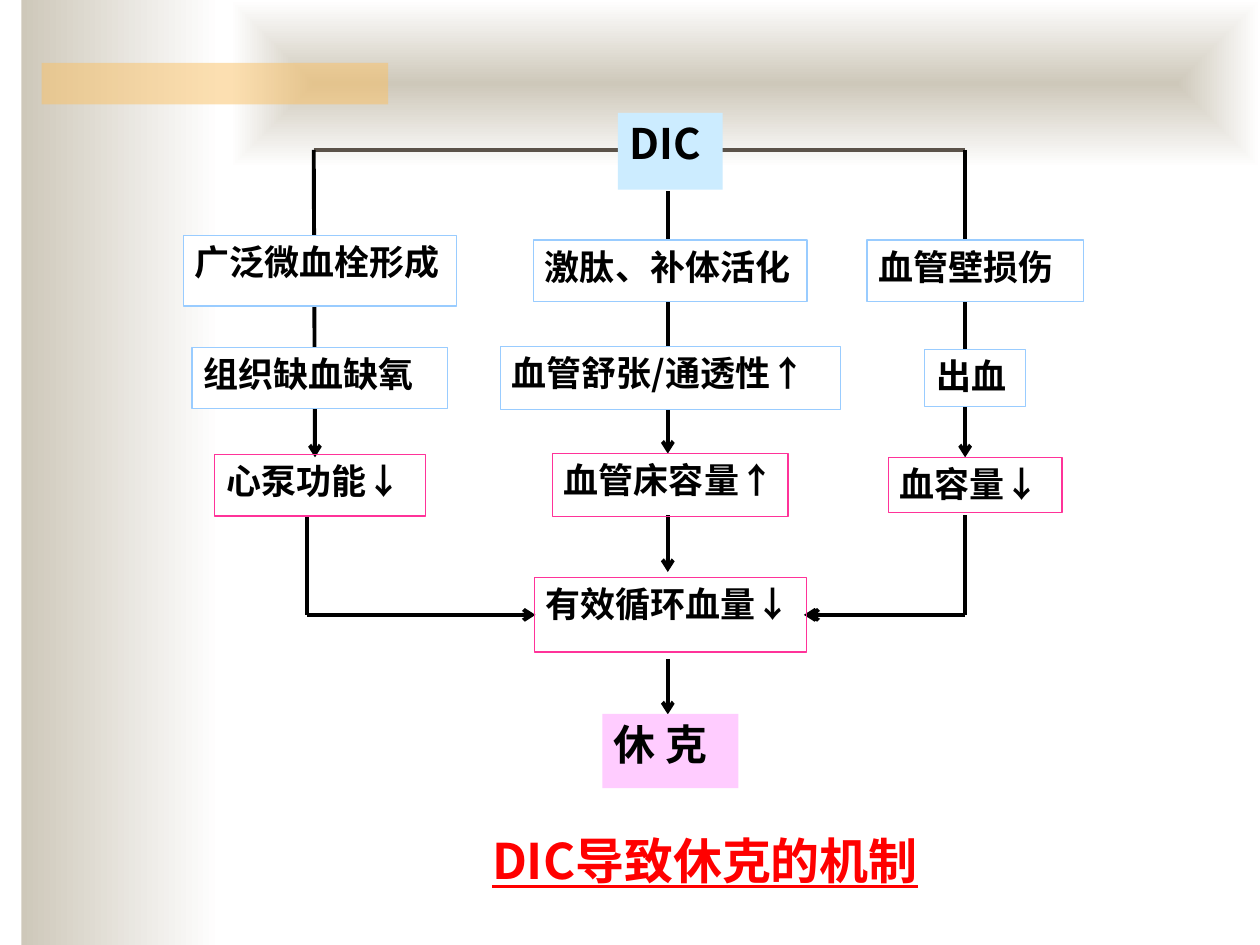
"""Builds a one-slide flow chart of how DIC leads to shock."""
from lxml import etree
from pptx import Presentation
from pptx import util as u
from pptx.dml.color import RGBColor
from pptx.enum import shapes, text
from pptx.oxml.ns import qn

SAND = RGBColor(0xCE, 0xC8, 0xBA)
AMBER = RGBColor(0xFA, 0xC1, 0x64)
WHITE = RGBColor(0xFF, 0xFF, 0xFF)
BLACK = RGBColor(0, 0, 0)
RED = RGBColor(0xFF, 0, 0)
BROWN = RGBColor(0x5B, 0x52, 0x49)
PINK_EDGE = RGBColor(0xFF, 0x33, 0x99)
BLUE_EDGE = RGBColor(0x99, 0xCC, 0xFF)
PALE_BLUE = RGBColor(0xCC, 0xEC, 0xFF)
PALE_PINK = RGBColor(0xFF, 0xCC, 0xFF)
FONT = "Noto Sans CJK SC"

WIDTH, HEIGHT = 10, 7.5
TITLE = "DIC导致休克的机制"

COLUMNS = [2.54, 5.32, 7.74]
ROWS = [1.2] + [2.15 + 0.85 * step for step in range(3)] + [4.88, 5.96]
LEFT, MIDDLE, RIGHT = 2.49, 5.3, 7.66
START, MERGE = 1.19, 4.88
LOWER_LEFT = 2.44

STYLES = {
    "cause": (PALE_BLUE, None, 24),
    "step": (WHITE, BLUE_EDGE, 20),
    "effect": (None, PINK_EDGE, 20),
    "outcome": (PALE_PINK, None, 24),
}
NODES = [
    ("DIC", 1, 0, 0.83, 0.61, "cause"),
    ("广泛微血栓形成", 0, 1, 2.17, 0.56, "step"),
    ("激肽、补体活化", 1, 1, 2.17, 0.49, "step"),
    ("血管壁损伤", 2, 1, 1.72, 0.49, "step"),
    ("组织缺血缺氧", 0, 2, 2.03, 0.49, "step"),
    ("血管舒张/通透性↑", 1, 2, 2.7, 0.5, "step"),
    ("出血", 2, 2, 0.8, 0.45, "step"),
    ("心泵功能↓", 0, 3, 1.67, 0.49, "effect"),
    ("血管床容量↑", 1, 3, 1.87, 0.5, "effect"),
    ("血容量↓", 2, 3, 1.38, 0.44, "effect"),
    ("有效循环血量↓", 1, 4, 2.16, 0.59, "effect"),
    ("休 克", 1, 5, 1.08, 0.59, "outcome"),
]
LINKS = [
    (LEFT, START, RIGHT, START, BROWN, None),
    (LEFT, START, 2.5, 3.63, BLACK, "tailEnd"),
    (MIDDLE, 1.52, MIDDLE, 3.6, BLACK, "tailEnd"),
    (RIGHT, START, RIGHT, 3.63, BLACK, "tailEnd"),
    (LOWER_LEFT, 4.09, LOWER_LEFT, MERGE, BLACK, None),
    (LOWER_LEFT, MERGE, 4.25, MERGE, BLACK, "tailEnd"),
    (MIDDLE, 4.09, MIDDLE, 4.54, BLACK, "tailEnd"),
    (RIGHT, 4.09, RIGHT, MERGE, BLACK, None),
    (6.38, MERGE, 7.64, MERGE, BLACK, "headEnd"),
    (6.4, MERGE, RIGHT, MERGE, BLACK, "headEnd"),
    (MIDDLE, 5.23, MIDDLE, 5.67, BLACK, "tailEnd"),
]


def add_rectangle(slide, left, top, width, height, fill=None, edge=None):
    rectangle = slide.shapes.add_shape(
        shapes.MSO_SHAPE.RECTANGLE, *map(u.Inches, (left, top, width, height)))
    rectangle.shadow.inherit = False
    if fill is None:
        rectangle.fill.background()
    else:
        rectangle.fill.solid()
        rectangle.fill.fore_color.rgb = fill
    if edge is None:
        rectangle.line.fill.background()
    else:
        rectangle.line.color.rgb = edge
        rectangle.line.width = u.Pt(0.75)
    return rectangle


def fade_to_white(panel, from_centre=False):
    panel.fill.gradient()
    panel.fill.gradient_angle = 0
    for stop, color, position in zip(panel.fill.gradient_stops, (SAND, WHITE), (0, 1)):
        stop.color.rgb = color
        stop.position = position
    if from_centre:
        gradient = panel.fill._xPr.find(qn("a:gradFill"))
        linear = gradient.find(qn("a:lin"))
        focus = etree.Element(qn("a:path"), {"path": "rect"})
        etree.SubElement(focus, qn("a:fillToRect"), dict.fromkeys("ltrb", "50000"))
        gradient.replace(linear, focus)


def write(shape, wording, size, color, align, underline=None):
    frame = shape.text_frame
    frame.word_wrap = True
    frame.vertical_anchor = text.MSO_ANCHOR.TOP
    frame.margin_left = frame.margin_right = u.Inches(0.09)
    frame.margin_top = frame.margin_bottom = u.Inches(0.04)
    frame.text = wording
    paragraph = frame.paragraphs[0]
    paragraph.alignment = align
    run = paragraph.runs[0]
    run.font.size = u.Pt(size)
    run.font.bold = True
    run.font.underline = underline
    run.font.color.rgb = color
    run.font.name = FONT
    etree.SubElement(run.font._element, qn("a:ea"), {"typeface": FONT})


def add_backdrop(slide):
    fade_to_white(add_rectangle(slide, 0.17, 0, 1.58, HEIGHT))
    fade_to_white(add_rectangle(slide, 1.83, 0, WIDTH - 1.83, 1.33), from_centre=True)
    accent = add_rectangle(slide, 0.33, 0.5, 2.75, 0.33, AMBER)
    color = accent.fill._xPr.find(qn("a:solidFill"))[0]
    etree.SubElement(color, qn("a:alpha"), {"val": "50000"})


def add_link(slide, x1, y1, x2, y2, color, arrow):
    link = slide.shapes.add_connector(
        shapes.MSO_CONNECTOR.STRAIGHT, *map(u.Inches, (x1, y1, x2, y2)))
    link.line.color.rgb = color
    link.line.width = u.Pt(2.25)
    if arrow:
        etree.SubElement(link.line._get_or_add_ln(), qn("a:" + arrow), {"type": "arrow"})
    etree.SubElement(link._element.spPr, qn("a:effectLst"))


def add_node(slide, wording, column, row, width, height, style):
    fill, edge, size = STYLES[style]
    left, top = COLUMNS[column] - width / 2, ROWS[row] - height / 2
    node = add_rectangle(slide, left, top, width, height, fill, edge)
    write(node, wording, size, BLACK, text.PP_ALIGN.JUSTIFY)


def main():
    deck = Presentation()
    deck.slide_width, deck.slide_height = u.Inches(WIDTH), u.Inches(HEIGHT)
    slide = deck.slides.add_slide(deck.slide_layouts[6])
    add_backdrop(slide)
    title = slide.shapes.add_textbox(*map(u.Inches, (3.28, 6.55, 4.63, 0.7)))
    write(title, TITLE, 28, RED, text.PP_ALIGN.CENTER, underline=True)
    for link in LINKS:
        add_link(slide, *link)
    for node in NODES:
        add_node(slide, *node)
    deck.save("out.pptx")


if __name__ == "__main__":
    main()
